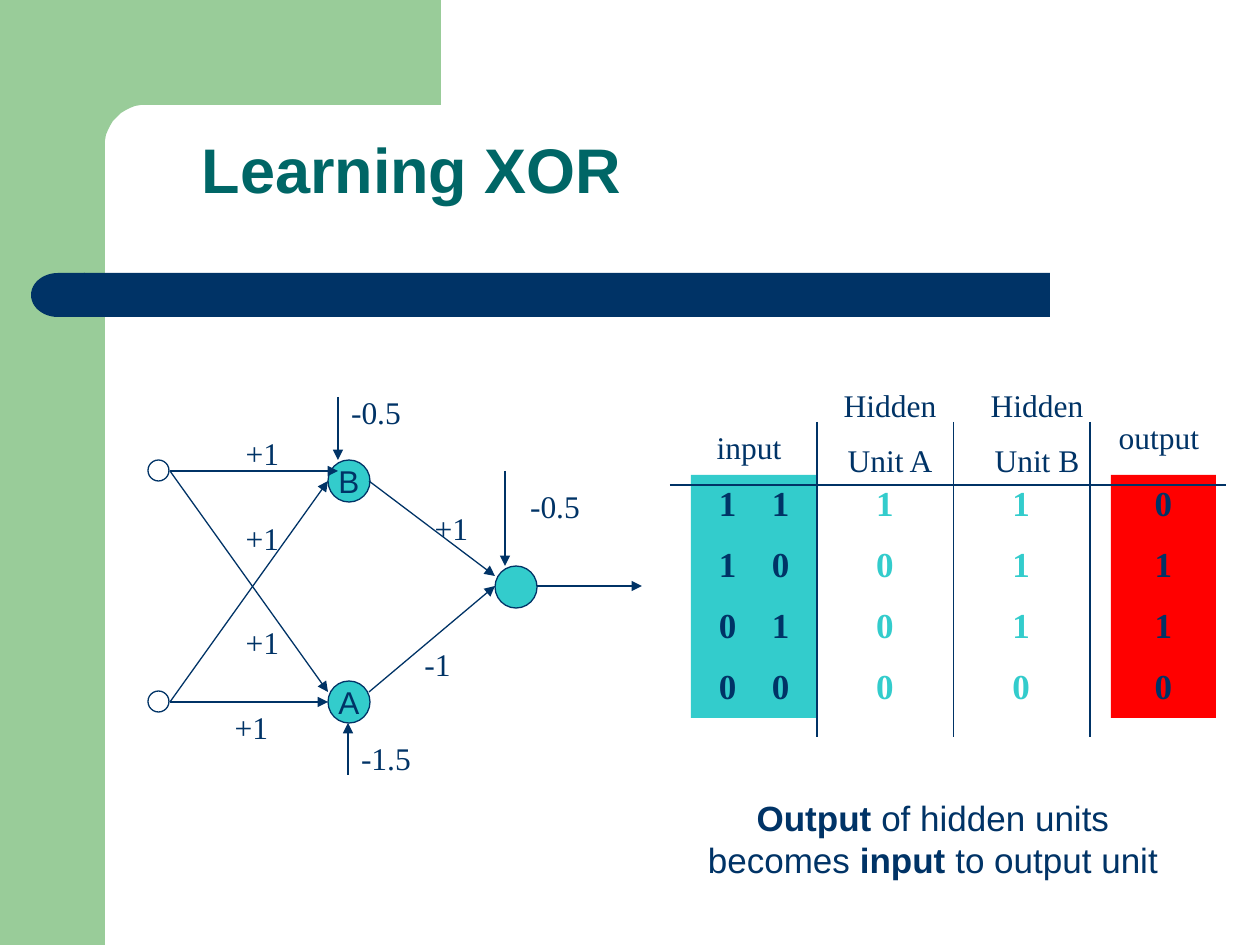
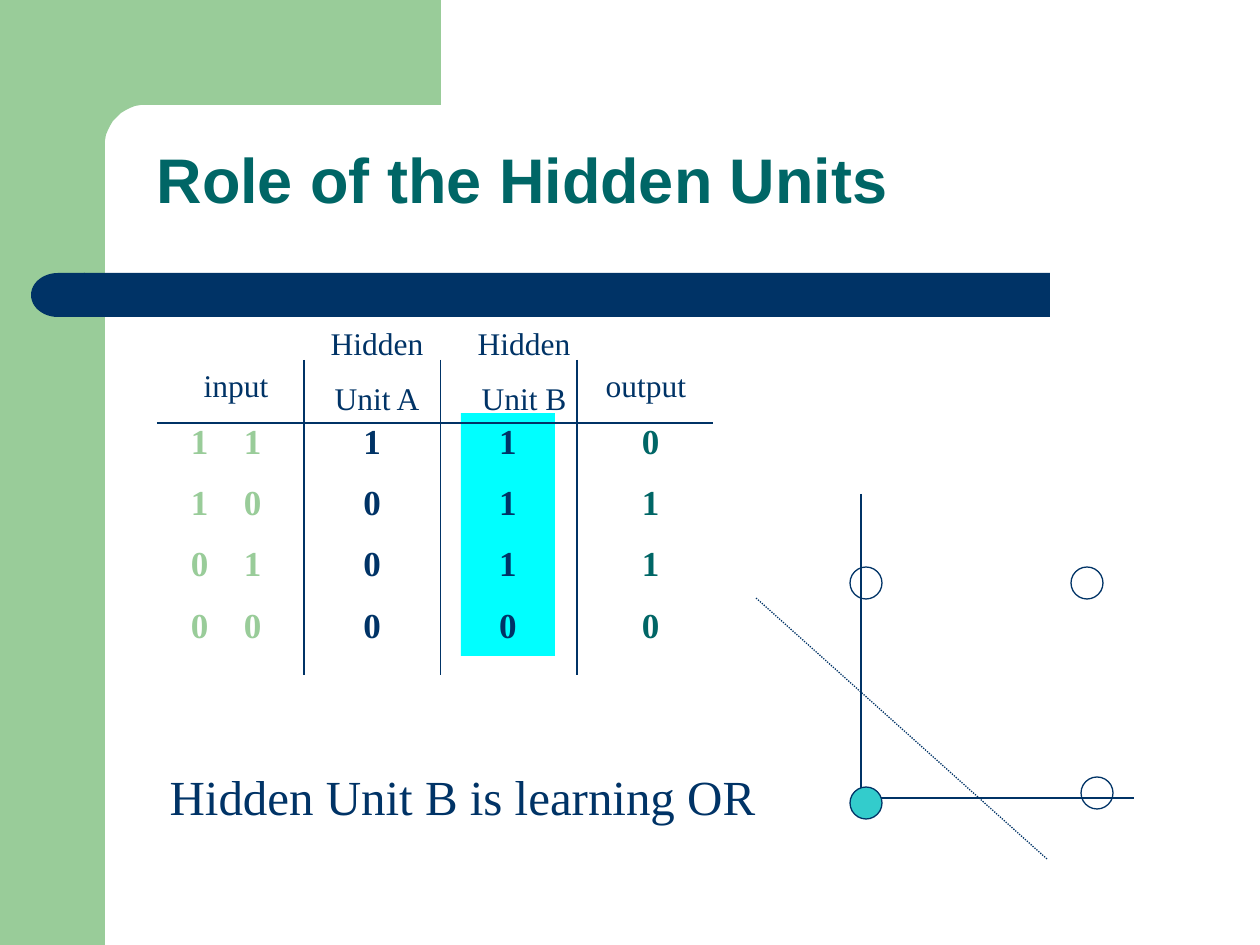
from math import cos, pi, sin

from pptx import Presentation
from pptx.dml.color import RGBColor
from pptx.enum.dml import MSO_LINE
from pptx.enum.shapes import MSO_CONNECTOR, MSO_SHAPE as Preset
from pptx.enum.text import MSO_ANCHOR as Anchor, MSO_AUTO_SIZE, PP_ALIGN as Align
from pptx.oxml.ns import qn
from pptx.util import Pt
from lxml.etree import SubElement

PX = 914400 / 126  # EMU in one px
SLIDE_W, SLIDE_H = 1260, 945
SANS, SERIF = "Arial", "Times New Roman"
COLORS = {
    "navy": "003366",
    "teal": "006666",
    "leaf": "99CC99",
    "aqua": "33CCCC",
    "cyan": "00FFFF",
    "red": "FF0000",
}
DIGIT_GAP = 53  # from the first input digit to the second
DIGIT_PAIR_W = 70
XOR_INPUTS = ["1\t1", "1\t0", "0\t1", "0\t0"]
UNIT_A, UNIT_B, XOR_OUTPUT = "1000", "1110", "0110"


def emu(*lengths):
    return [round(length * PX) for length in lengths]


def rgb(name):
    return RGBColor.from_string(COLORS[name])


def write(frame, paragraphs, font=SERIF, size=18, color="navy", bold=False,
          align=Align.CENTER, anchor=Anchor.TOP, wrap=True, before=0,
          line_spacing=None, tab=None):
    """Fill a text frame; a paragraph is a string or a list of (text, bold)."""
    frame.auto_size = MSO_AUTO_SIZE.NONE
    frame.word_wrap = wrap
    frame.vertical_anchor = anchor
    for index, content in enumerate(paragraphs):
        paragraph = frame.add_paragraph() if index else frame.paragraphs[0]
        paragraph.alignment = align
        paragraph.line_spacing = line_spacing
        if index and before:
            paragraph.space_before = Pt(before)
        if tab:
            tabs = SubElement(paragraph._p.get_or_add_pPr(), qn("a:tabLst"))
            SubElement(tabs, qn("a:tab"), pos=str(emu(tab)[0]), algn="l")
        runs = [(content, bold)] if isinstance(content, str) else content
        for text, is_bold in runs:
            run = paragraph.add_run()
            run.text = text
            run.font.name = font
            run.font.size = Pt(size)
            run.font.bold = is_bold
            run.font.color.rgb = rgb(color)


def add_text(slide, box, paragraphs, fill=None, inset=None, **style):
    label = slide.shapes.add_textbox(*emu(*box))
    if fill:
        label.fill.solid()
        label.fill.fore_color.rgb = rgb(fill)
    if inset is not None:
        label.text_frame.margin_left = emu(inset)[0]
    write(label.text_frame, paragraphs, **style)


def paint(shape, fill=None, outline=None):
    shape.shadow.inherit = False
    if fill:
        shape.fill.solid()
        shape.fill.fore_color.rgb = rgb(fill)
    else:
        shape.fill.background()
    if outline:
        shape.line.color.rgb = rgb(outline)
        shape.line.width = Pt(0.75)
    else:
        shape.line.fill.background()
    return shape


def add_circle(slide, left, top, size, fill=None, name=None):
    circle = slide.shapes.add_shape(Preset.OVAL, *emu(left, top, size, size))
    paint(circle, fill, "navy")
    if name:
        write(circle.text_frame, [name], font=SANS, anchor=Anchor.MIDDLE, wrap=False)


def add_line(slide, start, end, arrow=False, dash=None):
    connector = slide.shapes.add_connector(MSO_CONNECTOR.STRAIGHT, *emu(*start, *end))
    connector.line.color.rgb = rgb("navy")
    connector.line.width = Pt(0.75)
    if dash:
        connector.line.dash_style = dash
    if arrow:
        SubElement(connector.line._get_or_add_ln(), qn("a:tailEnd"), type="triangle")
    SubElement(connector._element.spPr, qn("a:effectLst"))


def add_background(slide, master):
    """Draw the green frame and navy bar, then hand them to the master."""
    shapes = slide.shapes
    side_band = paint(shapes.add_shape(Preset.RECTANGLE, *emu(0, 0, 105, SLIDE_H)), "leaf")

    # Top band with a rounded inner corner
    radius, steps = 41, 12
    corner = [(146 - radius * sin(pi / 2 * i / steps), 146 - radius * cos(pi / 2 * i / steps))
              for i in range(steps + 1)]
    outline = shapes.build_freeform(441, 0, scale=PX)
    outline.add_line_segments([(441, 105), *corner, (105, 161), (63, 161), (63, 0)])
    top_band = paint(outline.convert_to_shape(), "leaf")

    # Bar under the title with a rounded left end
    bar = paint(shapes.add_shape(Preset.RECTANGLE, *emu(84, 273, 966, 44)), "navy")
    bar_end = paint(shapes.add_shape(Preset.FLOWCHART_DELAY, *emu(31, 273, 54, 44)), "navy")
    bar_end.rotation = 180

    tree = master.element.cSld.spTree
    for order, part in enumerate([side_band, top_band, bar, bar_end]):
        part._element.nvSpPr.cNvPr.set("id", str(100 + order))
        tree.insert(2 + order, part._element)


def add_title(slide, left, top, text):
    title = slide.shapes.title
    title.left, title.top, title.width, title.height = emu(left, top, 1071, 158)
    write(title.text_frame, [text], font=SANS, size=36, color="teal", bold=True,
          align=Align.LEFT, anchor=Anchor.BOTTOM, line_spacing=0.9)


def add_truth_table(slide, left, top, input_box, output_label_y, colors, fills):
    """Truth table; (left, top) is the left end of the rule under the headings."""
    # Digits: input pairs, hidden units, output
    columns = [
        (*input_box, XOR_INPUTS),
        (168, 94, UNIT_A),
        (304, 94, UNIT_B),
        (441, 105, XOR_OUTPUT),
    ]
    for (x, width, digits), color, fill in zip(columns, colors, fills):
        pair = digits is XOR_INPUTS
        add_text(slide, (left + x, top - 10, width, 243), digits, fill=fill,
                 size=20, color=color, bold=True, before=11,
                 align=Align.LEFT if pair else Align.CENTER,
                 inset=(width - DIGIT_PAIR_W) / 2 if pair else None,
                 tab=DIGIT_GAP if pair else None)

    # Rules
    add_line(slide, (left, top), (left + 556, top))
    for column in range(3):
        x = left + 147 + 136.5 * column
        add_line(slide, (x, top - 63), (x, top + 252))

    # Headings
    headings = [
        (73, -105, 294, 107, ["Hidden", "Unit A"]),
        (220, -105, 294, 107, ["Hidden", "Unit B"]),
        (410, output_label_y, 158, 50, ["output"]),
        (-31, -63, 220, 50, ["input"]),
    ]
    for x, y, width, height, lines in headings:
        add_text(slide, (left + x, top + y, width, height), lines, before=10)


def add_network(slide, left, top):
    # Units: x, y, diameter, fill, name
    units = [
        (180, 63, 42, "aqua", "B"),
        (347, 169, 42, "aqua", None),
        (180, 284, 42, "aqua", "A"),
        (0, 63, 21, None, None),
        (0, 294, 21, None, None),
    ]
    for x, y, size, fill, name in units:
        add_circle(slide, left + x, top + y, size, fill, name)

    # Arrows: start, end, weight, left and top of the weight
    arrows = [
        ((22, 74), (190, 74), "+1", (85, 31)),
        ((22, 305), (180, 305), "+1", (74, 305)),
        ((22, 305), (180, 84), "+1", (85, 116)),
        ((22, 74), (180, 295), "+1", (85, 220)),
        ((221, 295), (347, 189), "-1", (260, 242)),
        ((221, 84), (347, 179), "+1", (274, 106)),
        ((190, 0), (190, 63), "-0.5", (190, -10)),
        ((200, 378), (200, 326), "-1.5", (200, 336)),
        ((357, 74), (357, 169), "-0.5", (369, 84)),
        ((389, 189), (494, 189), None, None),
    ]
    for start, end, weight, place in arrows:
        add_line(slide, (left + start[0], top + start[1]),
                 (left + end[0], top + end[1]), arrow=True)
        if weight:
            width = 59 if len(weight) == 2 else 76
            add_text(slide, (left + place[0], top + place[1], width, 50), [weight],
                     anchor=Anchor.MIDDLE, wrap=False)


def add_or_plot(slide, left, top):
    # Axes
    corner = (left + 105, top + 304)
    add_line(slide, (left + 105, top), corner)
    add_line(slide, corner, (left + 378, top + 304))

    # Input points; the filled one is off
    points = [(94, 73, None), (94, 293, "aqua"), (315, 73, None), (325, 283, None)]
    for x, y, fill in points:
        add_circle(slide, left + x, top + y, 32, fill)

    # Decision boundary
    add_line(slide, (left + 291, top + 365), (left, top + 104), dash=MSO_LINE.ROUND_DOT)


def build_learning_slide(slide):
    add_title(slide, 189, 55, "Learning XOR")
    add_network(slide, 148, 397)
    add_truth_table(slide, 670, 485, input_box=(21, 126), output_label_y=-73,
                    colors=["navy", "aqua", "aqua", "navy"],
                    fills=["aqua", None, None, "red"])
    add_text(slide, (689, 790, 488, 97),
             [[("Output ", True), ("of hidden units becomes ", False),
               ("input ", True), ("to output unit", False)]],
             font=SANS, size=20)


def build_role_slide(slide):
    add_title(slide, 144, 66, "Role of the Hidden Units")
    add_or_plot(slide, 756, 494)
    add_truth_table(slide, 157, 423, input_box=(-52, 242), output_label_y=-63,
                    colors=["leaf", "navy", "navy", "teal"],
                    fills=[None, None, "cyan", None])
    add_text(slide, (136, 760, 653, 72), ["Hidden Unit B is learning OR"], size=28)


def main():
    deck = Presentation()
    deck.slide_width, deck.slide_height = emu(SLIDE_W, SLIDE_H)
    title_only = deck.slide_layouts[5]
    learning, role = [deck.slides.add_slide(title_only) for _ in range(2)]
    add_background(learning, deck.slide_master)
    build_learning_slide(learning)
    build_role_slide(role)
    deck.save("out.pptx")


if __name__ == "__main__":
    main()
